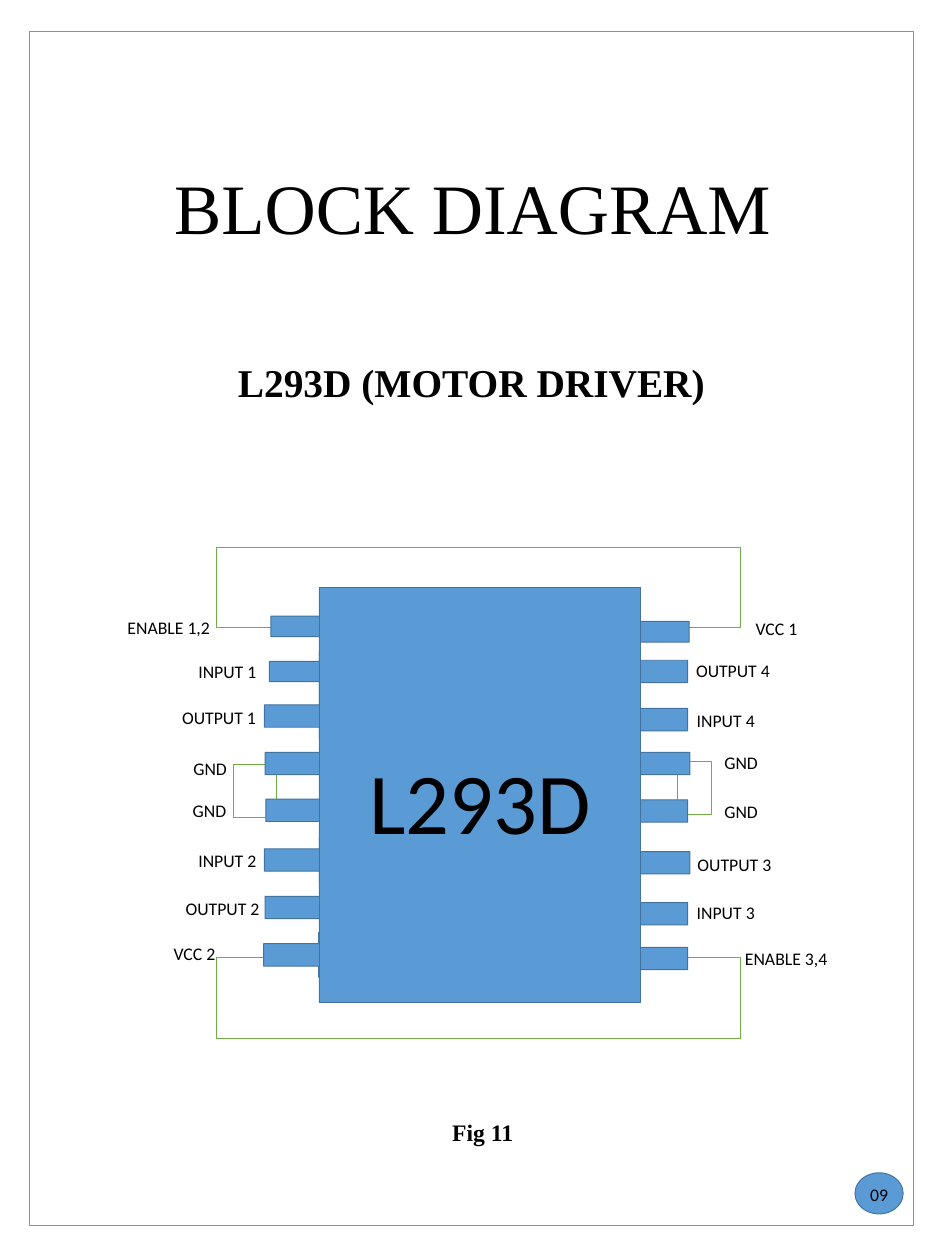
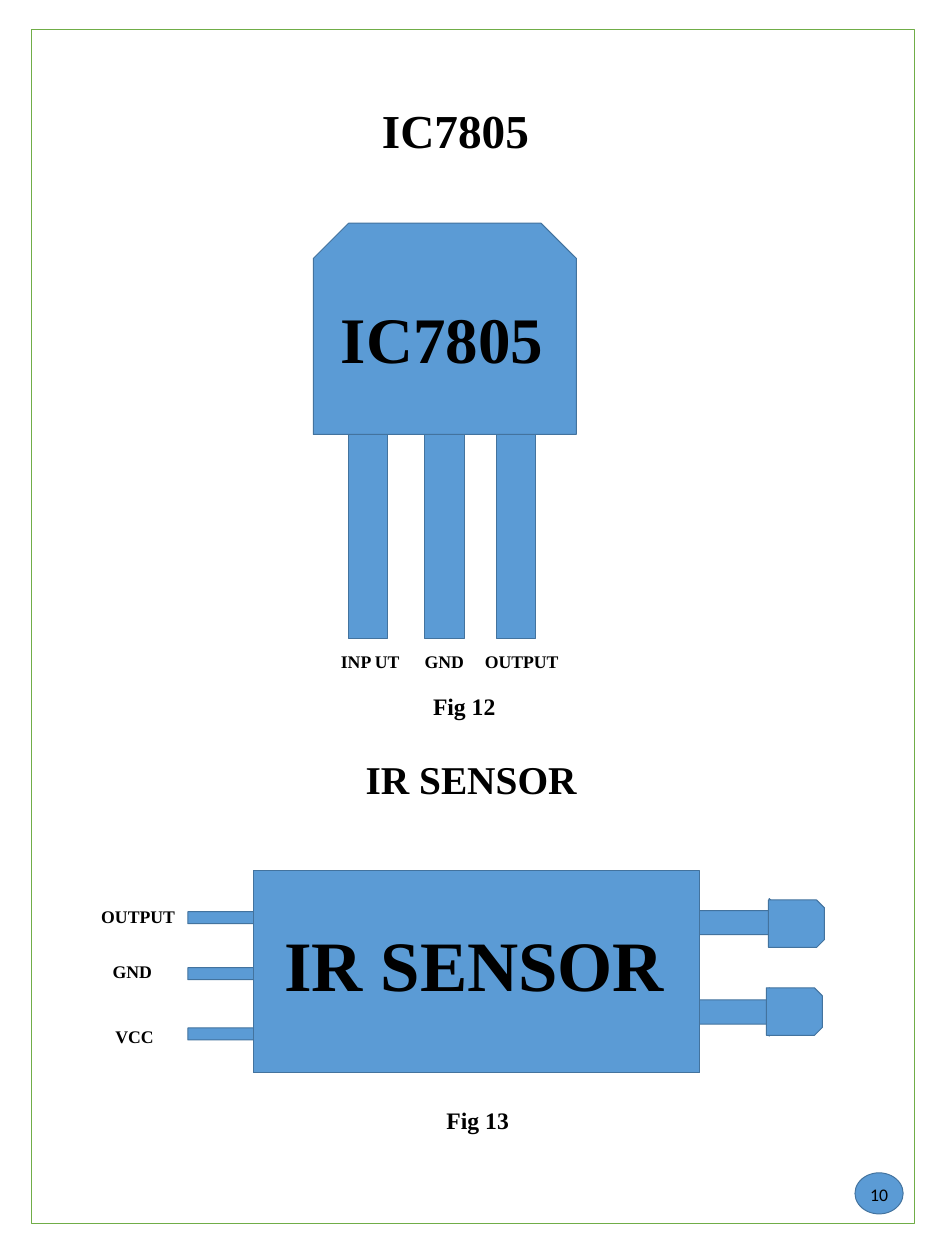
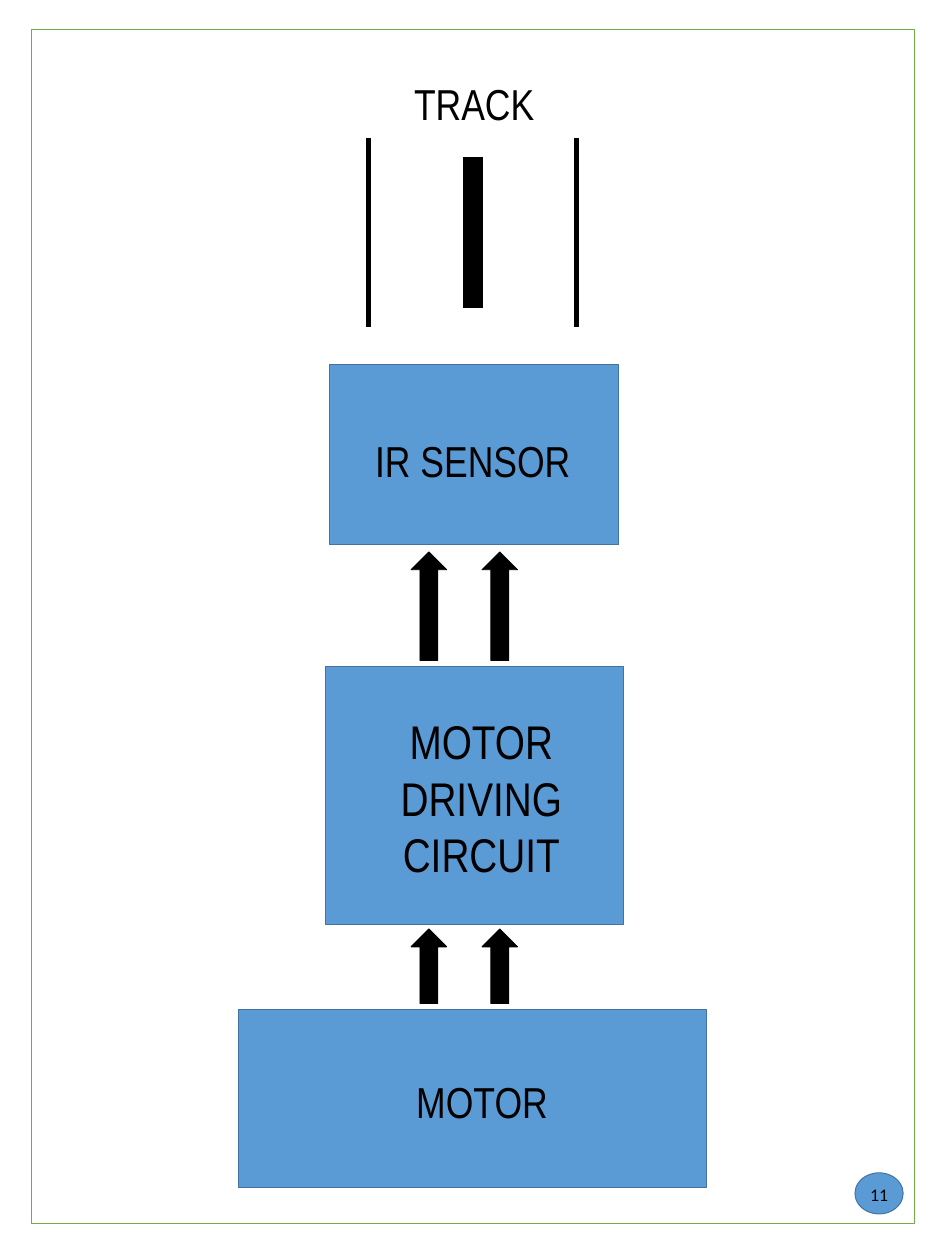
"""Build three portrait slides with block diagrams of a line-following robot."""
import pptx
import pptx.util
import pptx.dml.color
import pptx.enum.shapes
import pptx.enum.text
import pptx.oxml

PX = 9144
HUE = {"ink": "000000", "block": "5B9BD5", "edge": "43739E", "wire": "70AD47"}
SERIF, SANS, SLIM = "Times New Roman", "Calibri", "Arial Narrow"
KIND = pptx.enum.shapes.MSO_SHAPE
ALIGN = pptx.enum.text.PP_ALIGN
LEFT, MID = ALIGN.LEFT, ALIGN.CENTER


def write(frame, words, size, face, bold=False, align=MID, inset=None):
    frame.word_wrap = True
    frame.auto_size = pptx.enum.text.MSO_AUTO_SIZE.NONE
    if inset:
        sides = [side * PX for side in inset]
        frame.margin_left, frame.margin_top, frame.margin_right, frame.margin_bottom = sides
    frame.text = words
    para = frame.paragraphs[0]
    para.alignment = align
    para.font.size = pptx.util.Pt(size)
    para.font.name = face
    para.font.bold = bold
    para.font.color.rgb = pptx.dml.color.RGBColor.from_string(HUE["ink"])


def draw(page, kind, box, fill="block", edge="edge"):
    shape = page.shapes.add_shape(kind, *[side * PX for side in box])
    shape.shadow.inherit = False
    if fill:
        shape.fill.solid()
        shape.fill.fore_color.rgb = pptx.dml.color.RGBColor.from_string(HUE[fill])
    else:
        shape.fill.background()
    shape.line.color.rgb = pptx.dml.color.RGBColor.from_string(HUE[edge])
    shape.line.width = pptx.util.Pt(1)
    return shape


deck = pptx.Presentation()
deck.slide_width, deck.slide_height = 1333 * PX, 1778 * PX

pages = []
for number, words, box, size, face, bold, corner in [
    ("09", "BLOCK DIAGRAM", (0, 226, 1333, 131), 72, SERIF, False, (42, 44)),
    ("10", "IC7805", (0, 138, 1285, 91), 48, SERIF, True, (44, 41)),
    ("11", "TRACK", (523, 104, 292, 84), 44, SLIM, False, (44, 41)),
]:
    page = deck.slides.add_slide(deck.slide_layouts[5])
    draw(page, KIND.RECTANGLE, (*corner, 1246, 1685), None, "wire")
    title = page.shapes.title
    title.left, title.top, title.width, title.height = [side * PX for side in box]
    write(title.text_frame, words, size, face, bold)
    title.text_frame.vertical_anchor = pptx.enum.text.MSO_ANCHOR.TOP
    badge = draw(page, KIND.OVAL, (1206, 1655, 68, 58))
    write(badge.text_frame, number, 18, SANS, inset=(0, 4, 0, 0))
    pages.append(page)
driver, parts, flow = pages

notes = [
    (driver, 0, 500, 1330, "L293D (MOTOR DRIVER)", 40, SERIF, True, MID),
    (driver, 628, 1573, 140, "Fig 11", 24, SERIF, True, LEFT),
    (parts, 44, 1060, 1241, "IR SENSOR", 40, SERIF, True, MID),
    (parts, 601, 972, 140, "Fig 12", 24, SERIF, True, LEFT),
    (parts, 620, 1556, 140, "Fig 13", 24, SERIF, True, LEFT),
]

for box in [(306, 772, 738, 114), (306, 1351, 738, 114),
            (329, 1079, 61, 74), (956, 1075, 48, 74)]:
    draw(driver, KIND.RECTANGLE, box, None, "wire")

for kind, pins in [
    (KIND.RIGHT_ARROW, [
        (382, 855, 98, 58, "ENABLE 1,2", 170, 865),
        (380, 919, 99, 57, "INPUT 1", 270, 927),
        (373, 979, 109, 63, "OUTPUT 1", 247, 993),
        (374, 1046, 109, 63, "GND", 263, 1064),
        (375, 1112, 109, 63, "GND", 262, 1124),
        (373, 1182, 109, 63, "INPUT 2", 270, 1194),
        (374, 1249, 109, 63, "OUTPUT 2", 252, 1262),
        (372, 1316, 109, 63, "VCC 2", 235, 1326),
    ]),
    (KIND.LEFT_ARROW, [
        (872, 862, 100, 59, "VCC 1", 1056, 867),
        (868, 916, 102, 63, "OUTPUT 4", 972, 926),
        (868, 984, 102, 63, "INPUT 4", 973, 997),
        (871, 1046, 102, 63, "GND", 1012, 1056),
        (868, 1113, 102, 63, "GND", 1012, 1125),
        (871, 1186, 102, 63, "OUTPUT 3", 974, 1200),
        (868, 1258, 102, 63, "INPUT 3", 973, 1268),
        (868, 1321, 102, 63, "ENABLE 3,4", 1041, 1333),
    ]),
]:
    for *box, words, left, top in pins:
        draw(driver, kind, box)
        notes.append((driver, left, top, 160, words, 18, SANS, False, LEFT))

for left, words, start in [(491, "INP UT", 471), (599, "GND", 589), (700, "OUTPUT", 674)]:
    draw(parts, KIND.RECTANGLE, (left, 549, 56, 352))
    notes.append((parts, start, 913, 140, words, 18, SERIF, True, LEFT))

for top, words, left, start in [
    (1278, "OUTPUT", 133, 1273), (1357, "GND", 149, 1351), (1442, "VCC", 153, 1442),
]:
    draw(parts, KIND.RIGHT_ARROW, (265, top, 182, 34))
    notes.append((parts, left, start, 140, words, 18, SERIF, True, LEFT))

for top, left, start in [(1268, 1090, 1264), (1394, 1087, 1388)]:
    draw(parts, KIND.RIGHT_ARROW, (937, top, 182, 68))
    bulb = draw(parts, KIND.SNIP_2_SAME_RECTANGLE, (left, start, 67, 79))
    bulb.rotation = 90

for page, kind, box, words, size, face, bold, inset in [
    (driver, KIND.RECTANGLE, (450, 829, 454, 585), "L293D", 88, SANS, False, (0, 14, 0, 0)),
    (parts, KIND.SNIP_2_SAME_RECTANGLE, (442, 315, 371, 298), "IC7805", 66, SERIF, True,
     (0, 0, 8, 0)),
    (parts, KIND.RECTANGLE, (357, 1229, 630, 285), "IR SENSOR", 72, SERIF, True, (0, 0, 6, 24)),
    (flow, KIND.RECTANGLE, (465, 515, 408, 254), "IR SENSOR", 44, SLIM, False, (0, 14, 4, 0)),
    (flow, KIND.RECTANGLE, (459, 941, 420, 363), "MOTOR\vDRIVING\vCIRCUIT", 48, SLIM, False,
     (20, 5, 0, 0)),
    (flow, KIND.RECTANGLE, (337, 1425, 659, 251), "MOTOR", 44, SLIM, False, (27, 7, 0, 0)),
]:
    block = draw(page, kind, box)
    write(block.text_frame, words, size, face, bold, inset=inset)

for left, top, end, width in [(520, 195, 461, 5.5), (667, 221, 435, 19.75), (813, 195, 461, 5.5)]:
    lane = flow.shapes.add_connector(
        pptx.enum.shapes.MSO_CONNECTOR.STRAIGHT, left * PX, top * PX, left * PX, end * PX)
    lane.line.color.rgb = pptx.dml.color.RGBColor.from_string(HUE["ink"])
    lane.line.width = pptx.util.Pt(width)
    lane._element.spPr.append(pptx.oxml.parse_xml(
        '<a:effectLst xmlns:a="http://schemas.openxmlformats.org/drawingml/2006/main"/>'))

for top, height in [(779, 153), (1311, 105)]:
    for left in (580, 680):
        draw(flow, KIND.UP_ARROW, (left, top, 50, height), "ink", "ink")

for page, left, top, width, words, size, face, bold, align in notes:
    height = size * 2 + 4
    note = page.shapes.add_textbox(left * PX, top * PX, width * PX, height * PX)
    write(note.text_frame, words, size, face, bold, align)

deck.save("out.pptx")
